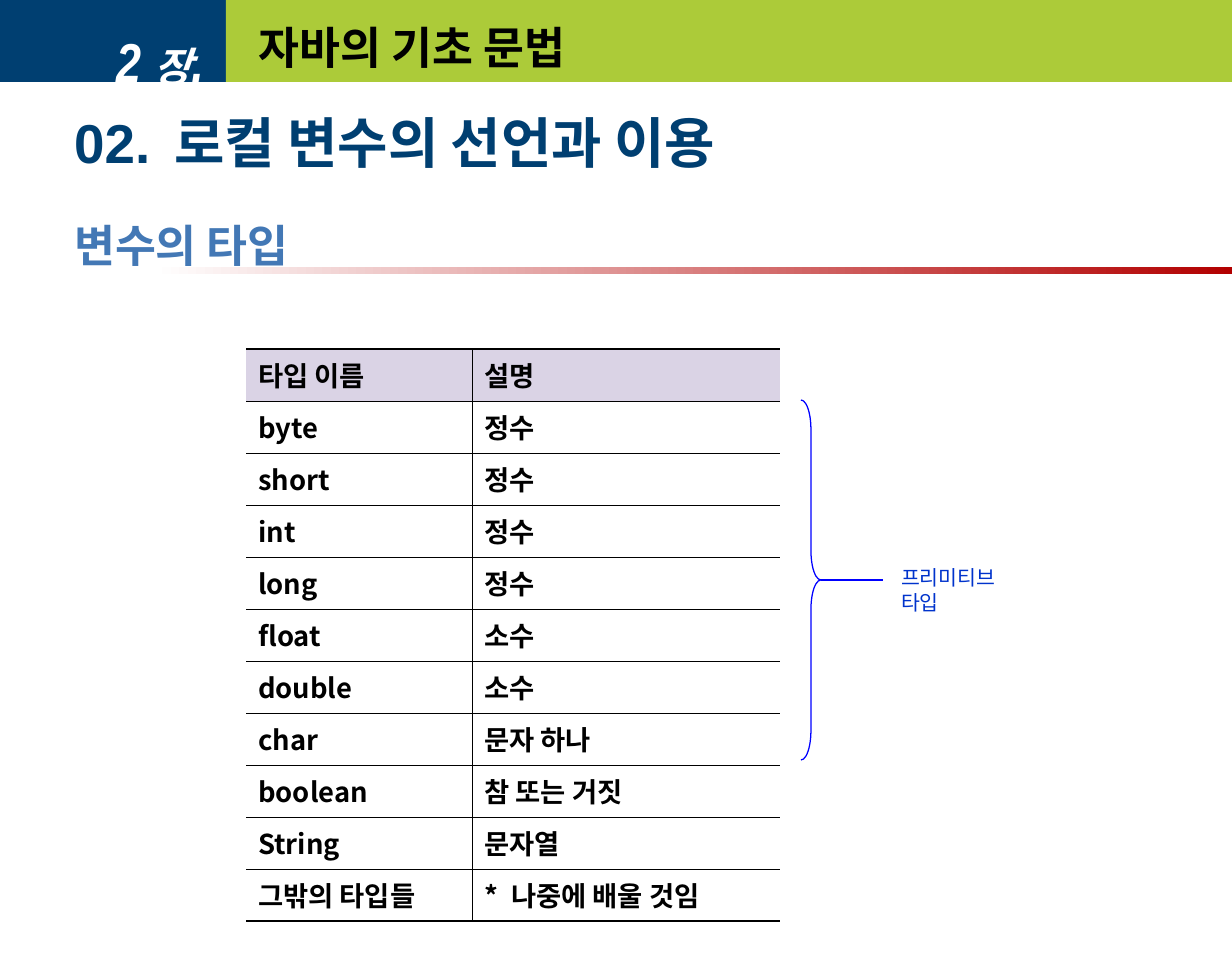
import pptx
import pptx.dml.color
import pptx.enum.dml
import pptx.enum.shapes
import pptx.enum.text
import pptx.oxml
import pptx.oxml.ns
import pptx.util
from lxml import etree

EMU_PER_PX = 7422
NAVY = pptx.dml.color.RGBColor(0x00, 0x3F, 0x71)
LIME = pptx.dml.color.RGBColor(0xAC, 0xCB, 0x39)
STEEL = pptx.dml.color.RGBColor(0x43, 0x78, 0xB5)
CRIMSON = pptx.dml.color.RGBColor(0xB2, 0x00, 0x00)
LILAC = pptx.dml.color.RGBColor(0xDA, 0xD3, 0xE5)
BLUE = pptx.dml.color.RGBColor(0x00, 0x00, 0xFF)
ROYAL = pptx.dml.color.RGBColor(0x00, 0x33, 0xCC)
BLACK = pptx.dml.color.RGBColor(0x00, 0x00, 0x00)
WHITE = pptx.dml.color.RGBColor(0xFF, 0xFF, 0xFF)
KOREAN = "Noto Sans CJK KR"
NARROW = "Arial Narrow"
THIN, THICK = 0.45, 1.08

TYPES = [
    ("타입 이름", "설명"),
    ("byte", "정수"),
    ("short", "정수"),
    ("int", "정수"),
    ("long", "정수"),
    ("float", "소수"),
    ("double", "소수"),
    ("char", "문자 하나"),
    ("boolean", "참 또는 거짓"),
    ("String", "문자열"),
    ("그밖의 타입들", "*\t나중에 배울 것임"),
]


def px(count):
    return pptx.util.Emu(count * EMU_PER_PX)


def box(*lengths):
    return [px(length) for length in lengths]


def child(parent, tag, **attributes):
    return etree.SubElement(parent, pptx.oxml.ns.qn(tag), **attributes)


def add_run(paragraph, text, size, color, latin=KOREAN, bold=True, italic=False):
    run = paragraph.add_run()
    run.text = text
    font = run.font
    font.size = pptx.util.Pt(size)
    font.bold = bold
    font.italic = italic
    font.color.rgb = color
    font.name = latin
    child(font._element, "a:ea", typeface=KOREAN)


def add_tab_stop(paragraph, position):
    stops = child(paragraph._p.get_or_add_pPr(), "a:tabLst")
    child(stops, "a:tab", pos=str(px(position)), algn="l")


def add_bar(slide, bounds, color=None):
    bar = slide.shapes.add_shape(pptx.enum.shapes.MSO_SHAPE.RECTANGLE, *box(*bounds))
    bar.shadow.inherit = False
    bar.line.fill.background()
    if color is not None:
        bar.fill.solid()
        bar.fill.fore_color.rgb = color
    return bar


def add_fading_rule(slide, bounds):
    fill = add_bar(slide, bounds).fill
    fill.gradient()
    fill.gradient_angle = 0
    for stop, color in zip(fill.gradient_stops, (WHITE, CRIMSON)):
        stop.color.rgb = color


def add_text_frame(slide, bounds, wrap=True):
    frame = slide.shapes.add_textbox(*box(*bounds)).text_frame
    frame.word_wrap = wrap
    return frame


def add_chapter_number(slide):
    frame = add_text_frame(slide, (0, 10, 216, 102))
    frame.vertical_anchor = pptx.enum.text.MSO_ANCHOR.MIDDLE
    number = frame.paragraphs[0]
    number.alignment = pptx.enum.text.PP_ALIGN.RIGHT
    for text, size in (("2 ", 32), ("장", 24), (".", 32)):
        add_run(number, text, size, WHITE, NARROW, italic=True)


def set_title(slide, text):
    title = slide.shapes.title
    title.left, title.top, title.width, title.height = box(246, 10, 965, 74)
    tree = title._element.getparent()
    tree.append(title._element)
    frame = title.text_frame
    frame.word_wrap = True
    frame.vertical_anchor = pptx.enum.text.MSO_ANCHOR.MIDDLE
    frame.paragraphs[0].alignment = pptx.enum.text.PP_ALIGN.LEFT
    add_run(frame.paragraphs[0], text, 26, BLACK)


def add_headings(slide):
    frame = add_text_frame(slide, (62, 103, 1108, 210))
    section = frame.paragraphs[0]
    add_tab_stop(section, 100)
    add_run(section, "02.\t", 32, NAVY, "Arial")
    add_run(section, "로컬 변수의 선언과 이용", 32, NAVY)
    topic = frame.add_paragraph()
    topic.space_before = pptx.util.Pt(25)
    add_run(topic, "변수의 타입", 26, STEEL, NARROW)


def set_borders(cell, widths):
    properties = cell._tc.get_or_add_tcPr()
    for side, width in zip("LRTB", widths):
        line = child(properties, f"a:ln{side}", w=str(pptx.util.Pt(width)))
        if width:
            color = child(line, "a:solidFill")
            child(color, "a:srgbClr", val=str(BLACK))
        else:
            child(line, "a:noFill")


def add_type_table(slide):
    last = len(TYPES) - 1
    row_height = 52
    table = slide.shapes.add_table(
        len(TYPES), 2, *box(246, 349, 534, row_height * len(TYPES))
    ).table
    table.first_row = False
    table.horz_banding = False
    for column, width in zip(table.columns, (226, 308)):
        column.width = px(width)
    for r, entry in enumerate(TYPES):
        table.rows[r].height = px(row_height)
        for c, text in enumerate(entry):
            cell = table.cell(r, c)
            top = THICK if r == 0 else THIN
            bottom = THICK if r == last else THIN
            set_borders(cell, (THIN * c, THIN * (1 - c), top, bottom))
            if r == 0:
                cell.fill.solid()
                cell.fill.fore_color.rgb = LILAC
            else:
                cell.fill.background()
            paragraph = cell.text_frame.paragraphs[0]
            if "\t" in text:
                add_tab_stop(paragraph, 27)
            add_run(paragraph, text, 16, BLACK)


def style_line(line):
    line.color.rgb = BLUE
    line.width = pptx.util.Pt(0.75)


def add_primitive_callout(slide):
    brace = slide.shapes.add_shape(
        pptx.enum.shapes.MSO_SHAPE.RIGHT_BRACE, *box(801, 400, 20, 360)
    )
    brace.shadow.inherit = False
    brace.fill.background()
    brace.adjustments[0] = 1.46
    style_line(brace.line)

    label = add_text_frame(slide, (889, 559, 161, 42), wrap=False)
    add_run(label.paragraphs[0], "프리미티브 타입", 12, ROYAL, bold=False)

    leader = slide.shapes.add_connector(
        pptx.enum.shapes.MSO_CONNECTOR.STRAIGHT, *box(821, 580, 883, 580)
    )
    child(leader._element.spPr, "a:effectLst")
    style_line(leader.line)


def main():
    presentation = pptx.Presentation()
    presentation.slide_width, presentation.slide_height = box(1232, 970)
    slide = presentation.slides.add_slide(presentation.slide_layouts[5])
    add_bar(slide, (0, 0, 226, 82), NAVY)
    add_chapter_number(slide)
    add_bar(slide, (226, 0, 1006, 82), LIME)
    set_title(slide, "자바의 기초 문법")
    add_fading_rule(slide, (154, 267, 1078, 7))
    add_headings(slide)
    add_type_table(slide)
    add_primitive_callout(slide)
    presentation.save("out.pptx")


if __name__ == "__main__":
    main()
